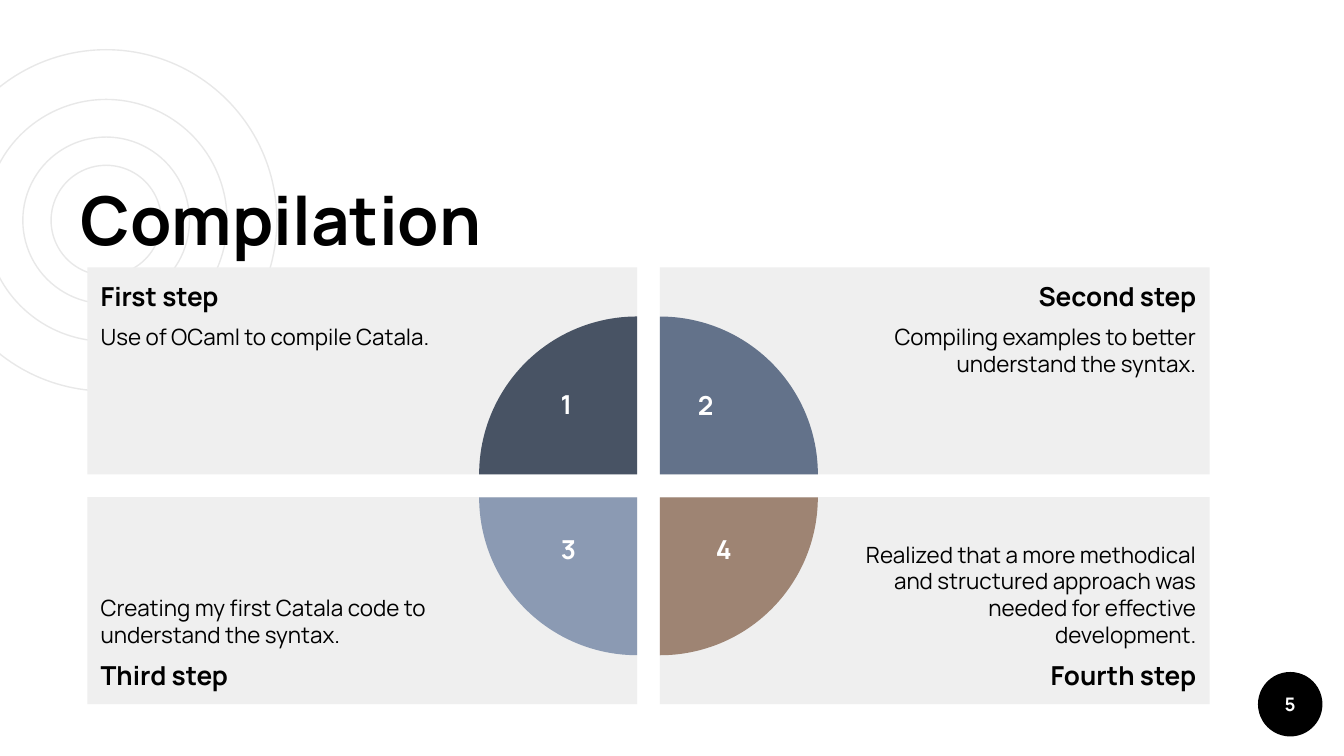
from dataclasses import dataclass

from pptx import Presentation
from pptx.dml.color import RGBColor
from pptx.enum.shapes import MSO_SHAPE
from pptx.enum.text import MSO_ANCHOR, MSO_AUTO_SIZE, PP_ALIGN
from pptx.shapes.autoshape import Shape
from pptx.slide import Slide
from pptx.text.text import TextFrame, _Paragraph
from pptx.util import Inches, Pt

OVAL, RECTANGLE, PIE = MSO_SHAPE.OVAL, MSO_SHAPE.RECTANGLE, MSO_SHAPE.PIE
LEFT, CENTER, RIGHT = PP_ALIGN.LEFT, PP_ALIGN.CENTER, PP_ALIGN.RIGHT
TOP, MIDDLE, BOTTOM = MSO_ANCHOR.TOP, MSO_ANCHOR.MIDDLE, MSO_ANCHOR.BOTTOM

Box = tuple[float, float, float, float]  # left, top, width, height in inches


@dataclass(frozen=True)
class Theme:
    font: str = "Manrope"
    ink: str = "000000"
    paper: str = "FFFFFF"
    panel: str = "EFEFEF"
    ring: str = "E8E8E8"
    title_size: float = 36
    heading_size: float = 14
    body_size: float = 12
    page_size: float = 10


@dataclass(frozen=True)
class Step:
    column: int
    row: int
    heading: str
    detail: str
    color: str
    number: str
    number_box: Box


THEME = Theme()
SLIDE_WIDTH = 10
SLIDE_HEIGHT = SLIDE_WIDTH * 9 / 16

# Two by two grid of panels
GRID_LEFT, GRID_TOP = 0.65, 1.99
PANEL_WIDTH, PANEL_HEIGHT, GAP = 4.09, 1.54, 0.17
QUARTER_DIAMETER = 2.35
INSET, QUARTER_INSET = 0.1, 1.5

RING_CENTER = (0.79, 1.64)
RING_DIAMETERS = (2.54, 1.8, 1.24, 0.82)
TITLE_BOX = (0.5, 1.28, 5.71, 0.75)
PAGE_BOX = (9.36, 5, 0.48, 0.48)

STEPS = (
    Step(0, 0, "First step", "Use of OCaml to compile Catala.",
         "485364", "1", (4.13, 2.84, 0.17, 0.44)),
    Step(1, 0, "Second step", "Compiling examples to better understand the syntax.",
         "63728A", "2", (5.1, 2.85, 0.3, 0.44)),
    Step(0, 1, "Third step", "Creating my first Catala code to understand the syntax.",
         "8B9AB3", "3", (4.08, 3.92, 0.3, 0.44)),
    Step(1, 1, "Fourth step",
         "Realized that a more methodical and structured approach was needed "
         "for effective development.",
         "9E8473", "4", (5.21, 3.92, 0.35, 0.44)),
)


def centered_square(x: float, y: float, side: float) -> Box:
    return x - side / 2, y - side / 2, side, side


def add_flat_shape(slide: Slide, kind: MSO_SHAPE, box: Box,
                   fill: str | None = None, line: str | None = None) -> Shape:
    shape = slide.shapes.add_shape(kind, *map(Inches, box))
    shape.shadow.inherit = False
    if fill:
        shape.fill.solid()
        shape.fill.fore_color.rgb = RGBColor.from_string(fill)
    else:
        shape.fill.background()
    if line:
        shape.line.color.rgb = RGBColor.from_string(line)
        shape.line.width = Pt(0.75)
    else:
        shape.line.fill.background()
    return shape


def set_frame(frame: TextFrame, anchor: MSO_ANCHOR, left: float = INSET,
              right: float = INSET, vertical: float = INSET, wrap: bool = True) -> None:
    frame.word_wrap = wrap
    frame.auto_size = MSO_AUTO_SIZE.NONE
    frame.vertical_anchor = anchor
    frame.margin_left, frame.margin_right = Inches(left), Inches(right)
    frame.margin_top = frame.margin_bottom = Inches(vertical)


def write(paragraph: _Paragraph, text: str, size: float, color: str,
          bold: bool = True, align: PP_ALIGN = LEFT) -> None:
    paragraph.text = text
    paragraph.alignment = align
    for run in paragraph.runs:
        run.font.name = THEME.font
        run.font.size = Pt(size)
        run.font.bold = bold
        run.font.color.rgb = RGBColor.from_string(color)


def add_panel(slide: Slide, step: Step) -> None:
    """Draw the panel; the heading stays at its outer edge, above or below the detail."""
    box = (GRID_LEFT + step.column * (PANEL_WIDTH + GAP),
           GRID_TOP + step.row * (PANEL_HEIGHT + GAP), PANEL_WIDTH, PANEL_HEIGHT)
    frame = add_flat_shape(slide, RECTANGLE, box, THEME.panel).text_frame
    left, right = (QUARTER_INSET, INSET) if step.column else (INSET, QUARTER_INSET)
    set_frame(frame, BOTTOM if step.row else TOP, left, right)
    align = RIGHT if step.column else LEFT
    first, second = frame.paragraphs[0], frame.add_paragraph()
    heading, detail = (second, first) if step.row else (first, second)
    write(heading, step.heading, THEME.heading_size, THEME.ink, align=align)
    write(detail, step.detail, THEME.body_size, THEME.ink, False, align)
    second.space_before = second.space_after = Pt(6)


def add_quarter(slide: Slide, step: Step) -> None:
    """Draw the quarter circle centred on the panel's inner corner."""
    x = GRID_LEFT + PANEL_WIDTH + step.column * GAP
    y = GRID_TOP + PANEL_HEIGHT + step.row * GAP
    quarter = add_flat_shape(slide, PIE, centered_square(x, y, QUARTER_DIAMETER), step.color)
    quarter.adjustments[0], quarter.adjustments[1] = 108, 162  # 180 to 270 degrees
    quarter.rotation = 90 * (3 - step.column if step.row else step.column)


def add_number(slide: Slide, step: Step) -> None:
    frame = slide.shapes.add_textbox(*map(Inches, step.number_box)).text_frame
    set_frame(frame, TOP, 0, 0, 0.05, wrap=False)
    write(frame.paragraphs[0], step.number, THEME.heading_size, THEME.paper, align=CENTER)


def add_title(slide: Slide, text: str) -> None:
    """Fill the title placeholder and bring it in front of the shapes drawn so far."""
    title = slide.shapes.title
    title.left, title.top, title.width, title.height = map(Inches, TITLE_BOX)
    set_frame(title.text_frame, BOTTOM)
    write(title.text_frame.paragraphs[0], text, THEME.title_size, THEME.ink)
    title.element.getparent().append(title.element)


def add_page_number(slide: Slide, number: str) -> None:
    frame = add_flat_shape(slide, OVAL, PAGE_BOX, THEME.ink).text_frame
    set_frame(frame, MIDDLE, 0, 0, 0)
    write(frame.paragraphs[0], number, THEME.page_size, THEME.paper, align=CENTER)


def main() -> None:
    deck = Presentation()
    deck.slide_width, deck.slide_height = Inches(SLIDE_WIDTH), Inches(SLIDE_HEIGHT)
    title_only = deck.slide_layouts[5]
    slide = deck.slides.add_slide(title_only)

    for diameter in RING_DIAMETERS:
        add_flat_shape(slide, OVAL, centered_square(*RING_CENTER, diameter), line=THEME.ring)
    add_title(slide, "Compilation")
    add_page_number(slide, "5")
    for draw in (add_panel, add_quarter, add_number):
        for step in STEPS:
            draw(slide, step)
    deck.save("out.pptx")


if __name__ == "__main__":
    main()
